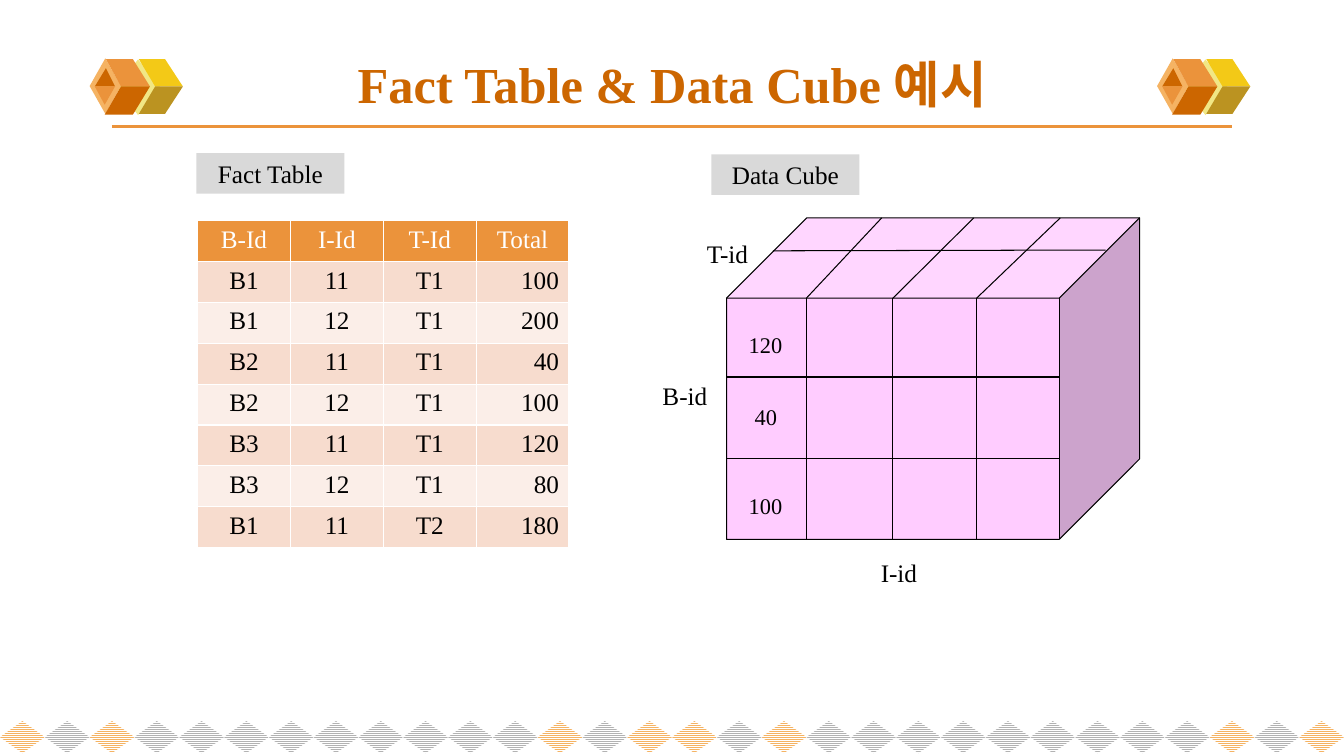
import pptx
import pptx.util
import pptx.dml.color
import pptx.enum.dml
import pptx.enum.shapes
import pptx.enum.text
import pptx.oxml.ns
from lxml import etree

Cm = pptx.util.Cm
RGB = pptx.dml.color.RGBColor
Kind = pptx.enum.shapes.MSO_SHAPE
Align = pptx.enum.text.PP_ALIGN
Anchor = pptx.enum.text.MSO_ANCHOR

BLACK = RGB(0, 0, 0)
WHITE = RGB(255, 255, 255)
RUST = RGB(0xCC, 0x66, 0x00)
ORANGE = RGB(0xEB, 0x93, 0x3B)
AMBER = RGB(0xF5, 0xB3, 0x63)
CREAM = RGB(0xF1, 0xE7, 0x85)
YELLOW = RGB(0xF3, 0xC9, 0x17)
OLIVE = RGB(0xBB, 0x93, 0x21)
GREY = RGB(0xB2, 0xB2, 0xB2)
SILVER = RGB(0xD9, 0xD9, 0xD9)
PINK = RGB(0xFF, 0xCC, 0xFF)
DARK = RGB(0xF7, 0xDC, 0xCE)
LIGHT = RGB(0xFB, 0xEE, 0xE8)

WIDTH, HEIGHT = 33.87, 19.05
TITLE = "Fact Table & Data Cube 예시"
TAGS = [("Fact Table", 4.95, 3.86), ("Data Cube", 17.93, 3.89)]
ROWS = [
    ("B-Id", "I-Id", "T-Id", "Total"),
    ("B1", "11", "T1", "100"),
    ("B1", "12", "T1", "200"),
    ("B2", "11", "T1", "40"),
    ("B2", "12", "T1", "100"),
    ("B3", "11", "T1", "120"),
    ("B3", "12", "T1", "80"),
    ("B1", "11", "T2", "180"),
]
AXES = [("I-id", 21.74, 13.92, 1.83), ("B-id", 16.28, 9.47, 1.96), ("T-id", 17.42, 5.87, 1.83)]
VALUES = [("120", 18.62, 8.23, 1.45), ("40", 18.77, 10.03, 1.35), ("100", 18.62, 12.27, 1.45)]
CUBE = (18.31, 5.49, 10.41, 8.1)
LEVELS = [9.5, 11.56]
SLICES = [(20.32, 22.22), (22.5, 24.54), (24.61, 26.72)]
DEPTH = (19.48, 6.32, 27.86, 6.3)
COUNT = 30
BRIGHT = {0, 2, 12, 14, 15, 17, 27, 29}
BADGES = [(2.26, 1.47), (29.16, 1.47)]
FACETS = [
    (CREAM, "diamond", (0.66, 0.03, 1.12, 1.4)),
    (YELLOW, "outline", [(1.65, 0.71), (2.35, 0.71), (1.9, 0.02), (1.24, 0.02)]),
    (OLIVE, "outline", [(1.65, 0.71), (2.35, 0.71), (1.9, 1.4), (1.24, 1.4)]),
    (AMBER, "diamond", (0, 0, 0.79, 1.4)),
    (ORANGE, "outline", [(0.79, 0.71), (1.52, 0.71), (1.09, 0.02), (0.41, 0.02)]),
    (RUST, "outline", [(0.79, 0.71), (1.52, 0.71), (1.09, 1.42), (0.38, 1.42)]),
    (RUST, "outline", [(0.41, 0.25), (0.13, 0.71), (0.64, 0.71)]),
    (ORANGE, "outline", [(0.38, 1.17), (0.13, 0.71), (0.64, 0.71)]),
]

deck = pptx.Presentation()
deck.slide_width, deck.slide_height = Cm(WIDTH), Cm(HEIGHT)
slide = deck.slides.add_slide(deck.slide_layouts[5])
shapes = slide.shapes


def write(frame, text, size=18, color=BLACK, bold=False, align=Align.CENTER):
    para = frame.paragraphs[0]
    para.alignment = align
    run = para.add_run()
    run.text = text
    run.font.name = "Times New Roman"
    run.font.size = pptx.util.Pt(size)
    run.font.bold = bold
    run.font.color.rgb = color


def paint(shape, color):
    shape.shadow.inherit = False
    shape.fill.solid()
    shape.fill.fore_color.rgb = color
    shape.line.fill.background()


def place(kind, box):
    return shapes.add_shape(kind, *map(Cm, box))


def rule(left, top, right, low, color=BLACK, width=0.75):
    line = shapes.add_connector(
        pptx.enum.shapes.MSO_CONNECTOR.STRAIGHT, *map(Cm, (left, top, right, low))
    )
    line.line.color.rgb = color
    line.line.width = pptx.util.Pt(width)
    etree.SubElement(line._element.spPr, pptx.oxml.ns.qn("a:effectLst"))


def label(text, left, top, width, height, **style):
    box = shapes.add_textbox(*map(Cm, (left, top, width, height)))
    box.text_frame.word_wrap = True
    write(box.text_frame, text, **style)


def border():
    pitch = WIDTH / COUNT
    for i in range(COUNT):
        gem = place(Kind.DIAMOND, (i * pitch, 18.17, pitch, 0.81))
        gem.shadow.inherit = False
        gem.fill.patterned()
        gem.fill.pattern = pptx.enum.dml.MSO_PATTERN.NARROW_HORIZONTAL
        gem.fill.fore_color.rgb = AMBER if i in BRIGHT else GREY
        gem.fill.back_color.rgb = WHITE
        gem.line.fill.background()


def badge(left, top):
    for color, form, data in FACETS:
        if form == "diamond":
            x, y, w, h = data
            part = place(Kind.DIAMOND, (left + x, top + y, w, h))
        else:
            pts = [(Cm(left + x), Cm(top + y)) for x, y in data]
            pen = shapes.build_freeform(*pts[0], scale=1.0)
            pen.add_line_segments(pts[1:], close=True)
            part = pen.convert_to_shape()
        paint(part, color)


def facts():
    area = map(Cm, (4.98, 5.56, 9.36, 8.24))
    table = shapes.add_table(len(ROWS), len(ROWS[0]), *area).table
    for col in table.columns:
        col.width = Cm(2.34)
    for r, row in enumerate(ROWS):
        table.rows[r].height = Cm(1.03)
        for c, text in enumerate(row):
            cell = table.cell(r, c)
            cell.fill.solid()
            cell.fill.fore_color.rgb = ORANGE if r == 0 else DARK if r % 2 else LIGHT
            side = Align.RIGHT if r and c == 3 else Align.CENTER
            write(cell.text_frame, text, color=BLACK if r else WHITE, align=side)


def cube():
    left, top, width, height = CUBE
    deep = height / 4
    body = place(Kind.CUBE, CUBE)
    paint(body, PINK)
    body.line.color.rgb = BLACK
    body.line.width = pptx.util.Pt(0.75)
    for y in LEVELS:
        rule(left, y, left + width - deep, y)
    for x, back in SLICES:
        rule(x, top + deep, x, top + height)
        rule(x, top + deep, back, top)
    rule(*DEPTH)
    for text, x, y, w in AXES:
        label(text, x, y, w, 1.02)
    for text, x, y, w in VALUES:
        label(text, x, y, w, 0.94, size=16, align=Align.LEFT)


border()
rule(2.82, 3.18, 31.04, 3.18, color=ORANGE, width=2.25)
for spot in BADGES:
    badge(*spot)

title = shapes.title
title.left, title.top, title.width, title.height = map(Cm, (1.7, 1.02, 30.48, 2.16))
title.text_frame.vertical_anchor = Anchor.MIDDLE
write(title.text_frame, TITLE, size=36, color=RUST, bold=True)

for text, left, top in TAGS:
    tag = place(Kind.RECTANGLE, (left, top, 3.73, 1.02))
    paint(tag, SILVER)
    write(tag.text_frame, text)

facts()
cube()
deck.save("out.pptx")
